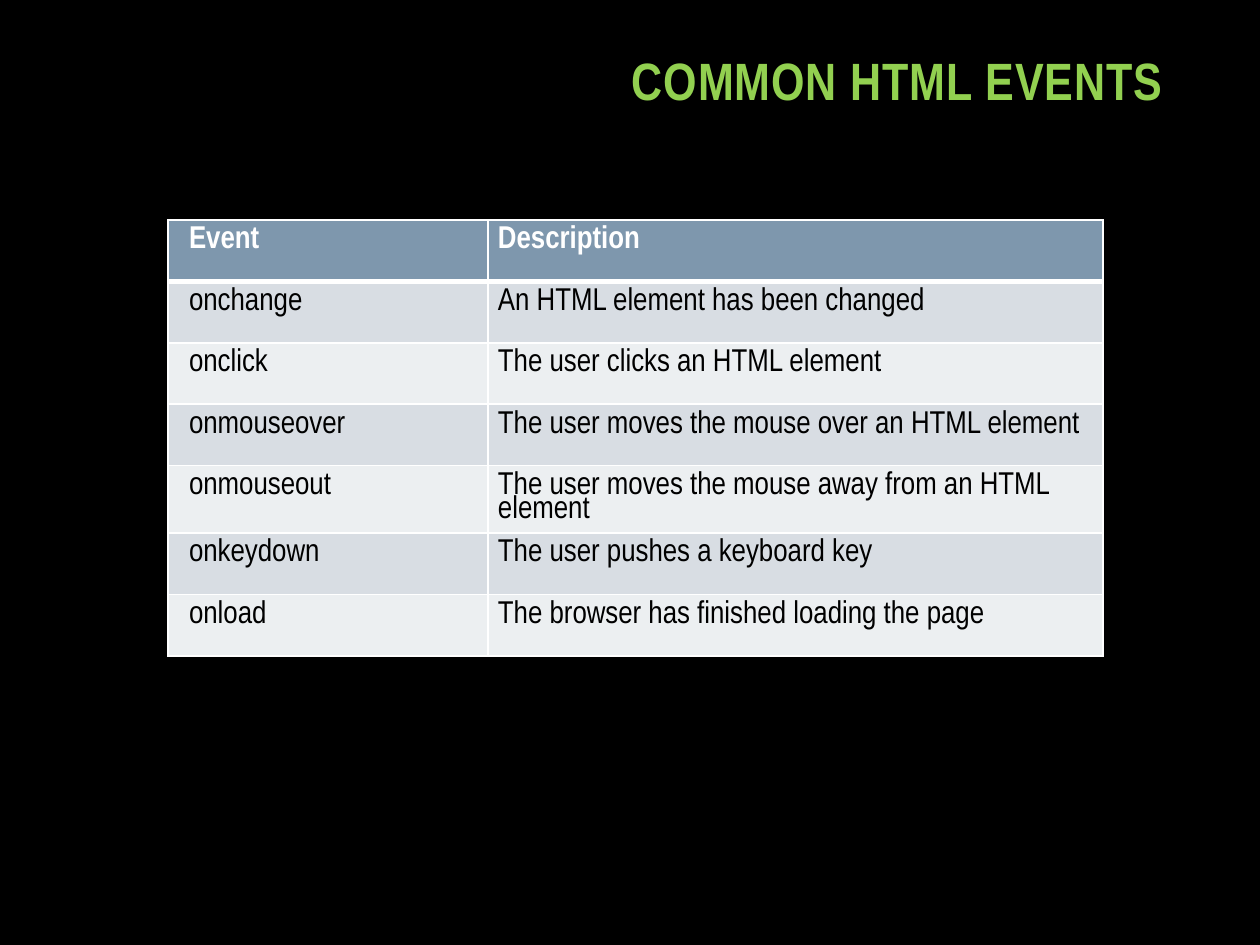
from lxml.etree import SubElement
from pptx import Presentation
from pptx.dml.color import RGBColor
from pptx.enum.text import MSO_ANCHOR as ANCHOR, MSO_AUTO_SIZE as FIT, PP_ALIGN as ALIGN
from pptx.oxml.ns import qn
from pptx.util import Emu, Pt

TITLE = "COMMON HTML EVENTS"
EVENTS = [
    ("Event", "Description"),
    ("onchange", "An HTML element has been changed"),
    ("onclick", "The user clicks an HTML element"),
    ("onmouseover", "The user moves the mouse over an HTML element"),
    ("onmouseout", "The user moves the mouse away from an HTML element"),
    ("onkeydown", "The user pushes a keyboard key"),
    ("onload", "The browser has finished loading the page"),
]
FONT = "Arial Narrow"
COLUMNS = (320, 615)
INDENTS = (21, 10)
TABLE_LEFT, TABLE_TOP, TABLE_HEIGHT = 168, 220, 430
HEADER, BANDS = "7E97AD", ("D8DDE3", "ECEFF1")
SCALE = 914400 / 126


def px(n):
    return Emu(round(n * SCALE))


def rgb(value):
    return RGBColor.from_string(value)


def write(tf, text, size=18, color="000000", bold=False, align=ALIGN.LEFT,
          leading=None, spacing=None):
    p = tf.paragraphs[0]
    p.alignment = align
    if leading:
        p.line_spacing = leading
    r = p.add_run()
    r.text = text
    f = r.font
    f.name, f.size, f.bold = FONT, Pt(size), bold
    f.color.rgb = rgb(color)
    if spacing:
        r._r.get_or_add_rPr().set("spc", str(round(spacing * 100)))


def add_borders(cell, widths, color="FFFFFF"):
    tcPr = cell._tc.get_or_add_tcPr()
    for i, (side, width) in enumerate(widths.items()):
        ln = tcPr.makeelement(qn(f"a:ln{side}"), {"w": str(Pt(width))})
        fill = SubElement(ln, qn("a:solidFill"))
        SubElement(fill, qn("a:srgbClr"), val=color)
        tcPr.insert(i, ln)


def add_title(slide):
    title = slide.shapes.title
    title.left, title.top, title.width, title.height = map(px, (84, 38, 1092, 120))
    tf = title.text_frame
    tf.word_wrap, tf.auto_size, tf.vertical_anchor = True, FIT.NONE, ANCHOR.TOP
    tf.margin_top, tf.margin_right = px(10), px(13)
    write(tf, TITLE, size=30, color="92D050", bold=True, align=ALIGN.RIGHT, spacing=0.5)


def add_events(slide):
    table = slide.shapes.add_table(
        len(EVENTS), len(COLUMNS), px(TABLE_LEFT), px(TABLE_TOP),
        px(sum(COLUMNS)), px(TABLE_HEIGHT)).table
    for column, width in zip(table.columns, COLUMNS):
        column.width = px(width)
    for i, row in enumerate(EVENTS):
        table.rows[i].height = px(TABLE_HEIGHT / len(EVENTS))
        head = i == 0
        for j, text in enumerate(row):
            cell = table.cell(i, j)
            cell.margin_left = px(INDENTS[j])
            cell.margin_top = cell.margin_right = cell.margin_bottom = px(10)
            cell.fill.solid()
            cell.fill.fore_color.rgb = rgb(HEADER if head else BANDS[(i - 1) % 2])
            add_borders(cell, {"L": 1, "R": 1, "T": 3 if i == 1 else 1, "B": 3 if head else 1})
            write(cell.text_frame, text, color="FFFFFF" if head else "000000",
                  bold=head, leading=0.8)


def main():
    prs = Presentation()
    prs.slide_width, prs.slide_height = px(1260), px(945)
    slide = prs.slides.add_slide(prs.slide_layouts[5])
    slide.background.fill.solid()
    slide.background.fill.fore_color.rgb = rgb("000000")
    add_title(slide)
    add_events(slide)
    prs.save("out.pptx")


if __name__ == "__main__":
    main()
